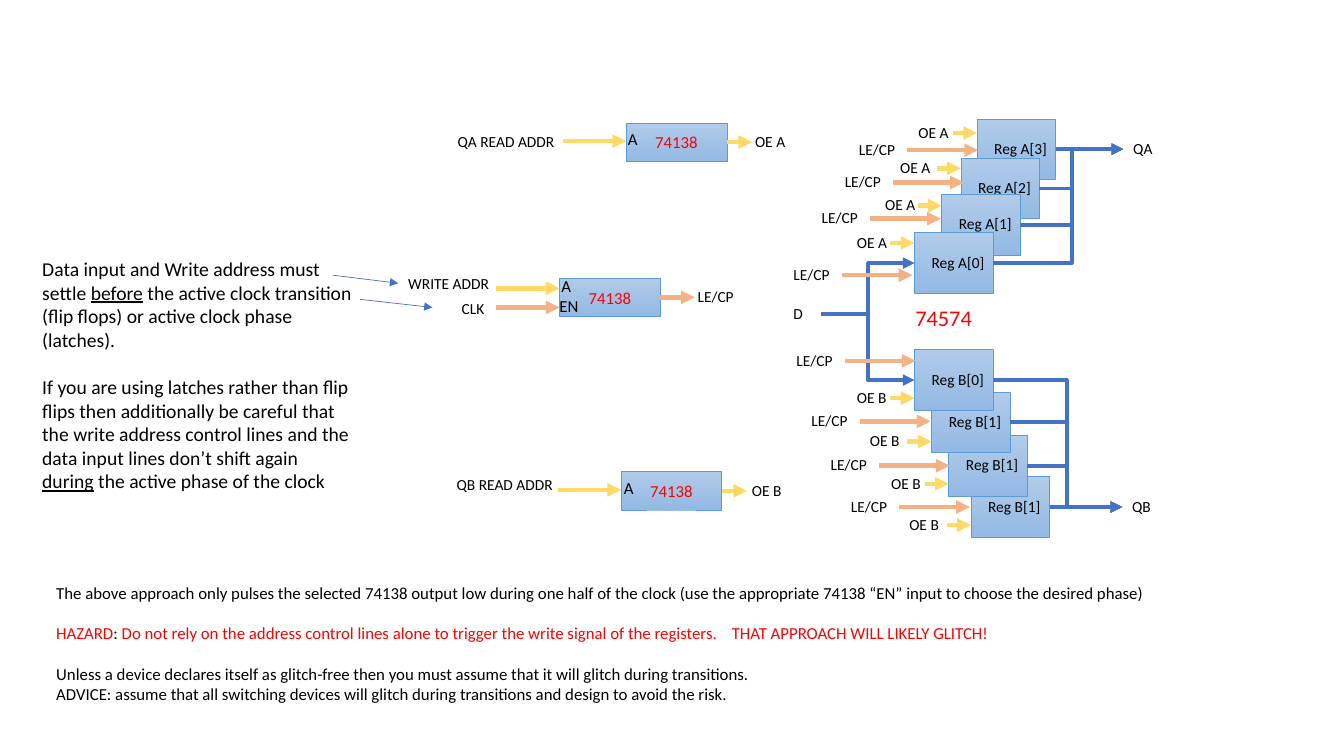
import dataclasses

import pptx
import pptx.dml.color
import pptx.enum.dml
import pptx.enum.shapes
import pptx.enum.text
import pptx.oxml
import pptx.oxml.ns
import pptx.util
from pptx.util import Inches

RGB = pptx.dml.color.RGBColor.from_string
Pt = pptx.util.Pt
ANCHOR = pptx.enum.text.MSO_ANCHOR
ALIGN = pptx.enum.text.PP_ALIGN
CONNECTOR = pptx.enum.shapes.MSO_CONNECTOR


@dataclasses.dataclass(frozen=True)
class Theme:
    font: str = "Calibri"
    ink: str = "000000"
    alert: str = "FF0000"
    address: str = "FFD966"
    clock: str = "F4B183"
    data: str = "4472C4"
    chip_top: str = "B1CBE9"
    chip_bottom: str = "93B9E4"
    chip_edge: str = "5B9BD5"
    label: int = 11
    pin: int = 12
    advice: int = 12
    timing: int = 14
    family: int = 16
    hairline: float = 0.5
    bus: float = 2.75
    signal: float = 3.25


@dataclasses.dataclass(frozen=True)
class Box:
    left: float
    top: float
    width: float
    height: float

    def lengths(self):
        return [Inches(v) for v in (self.left, self.top, self.width, self.height)]


THEME = Theme()
LABEL_FRAME = {"word_wrap": True, "vertical_anchor": ANCHOR.TOP}
CHIP_FRAME = {"word_wrap": True, "vertical_anchor": ANCHOR.MIDDLE}
REGISTER_FRAME = CHIP_FRAME | {"margin_left": Inches(0.17), "margin_right": Inches(0.04)}
LABEL_HEIGHT = 0.29
LABEL_RISE = 0.15  # from an arrow up to the top of its label


def apply(target, values):
    for name, value in values.items():
        setattr(target, name, value)


def add_run(paragraph, text, size, color=THEME.ink, underline=None):
    run = paragraph.add_run()
    run.text = text
    apply(run.font, {"name": THEME.font, "size": Pt(size), "underline": underline})
    run.font.color.rgb = RGB(color)


def label(slide, text, left, top, width=0.58, size=THEME.label, color=THEME.ink):
    frame = slide.shapes.add_textbox(*Box(left, top, width, LABEL_HEIGHT).lengths()).text_frame
    apply(frame, LABEL_FRAME)
    add_run(frame.paragraphs[0], text, size, color)


def wire(slide, start, end, color, weight, bend=None):
    """Arrow from start to end, turning at x = bend if one is given."""
    kind = CONNECTOR.STRAIGHT if bend is None else CONNECTOR.ELBOW
    line = slide.shapes.add_connector(kind, *[Inches(v) for v in (*start, *end)])
    line.line.color.rgb = RGB(color)
    line.line.width = Pt(weight)
    properties = line._element.spPr
    if bend is not None:
        guides = properties.find(pptx.oxml.ns.qn("a:prstGeom")).get_or_add_avLst()
        share = round((bend - start[0]) / (end[0] - start[0]) * 100000)
        guide = guides.makeelement(pptx.oxml.ns.qn("a:gd"), {"name": "adj1", "fmla": f"val {share}"})
        guides.append(guide)
    outline = line.line._get_or_add_ln()
    outline.append(outline.makeelement(pptx.oxml.ns.qn("a:tailEnd"), {"type": "triangle"}))
    properties.append(properties.makeelement(pptx.oxml.ns.qn("a:effectLst"), {}))


def chip(slide, box, text, frame_format, text_format, size, color):
    body = slide.shapes.add_shape(pptx.enum.shapes.MSO_SHAPE.RECTANGLE, *box.lengths())
    body.shadow.inherit = False
    body.fill.gradient()
    body.fill.gradient_angle = 270
    for stop, shade in zip(body.fill.gradient_stops, (THEME.chip_top, THEME.chip_bottom)):
        stop.color.rgb = RGB(shade)
    body.line.color.rgb = RGB(THEME.chip_edge)
    body.line.width = Pt(THEME.hairline)
    apply(body.text_frame, frame_format)
    paragraph = body.text_frame.paragraphs[0]
    apply(paragraph, text_format)
    add_run(paragraph, text, size, color)


def register_bank(slide, box, registers, output, outlet, bend):
    """Stack of registers, back to front, all wired to one outlet."""
    for name, dx, dy, *_ in registers:
        body = Box(box.left + dx, box.top + dy, 0.78, 0.6)
        chip(slide, body, name, REGISTER_FRAME,
             {"alignment": ALIGN.JUSTIFY, "line_spacing": 0.9}, THEME.label, THEME.ink)
        wire(slide, (body.left + body.width, body.top + 0.3), outlet, THEME.data, THEME.bus, bend)
    label(slide, output, outlet[0], outlet[1] - LABEL_RISE, 0.42)


def bank_controls(slide, box, registers, enable):
    """Enable and latch arrows with labels, left of each register."""
    for _, dx, dy, enable_dy, enable_label, latch_dx, latch_dy in registers:
        left, top = box.left + dx, box.top + dy
        enable_y, latch_y = top + enable_dy, top + latch_dy
        wire(slide, (left - 0.24, enable_y), (left, enable_y), THEME.address, THEME.signal)
        label(slide, enable, left + enable_label, enable_y - LABEL_RISE)
        latch_x = left + latch_dx
        wire(slide, (latch_x, latch_y), (latch_x + 0.7, latch_y), THEME.clock, THEME.signal)
        label(slide, "LE/CP", latch_x - 0.58, latch_y - LABEL_RISE)


def data_input(slide, box, bank_tops):
    """D feeding the first register of each bank."""
    middle = box.top + LABEL_RISE
    label(slide, "D", box.left, box.top, 0.4)
    for top in bank_tops:
        wire(slide, (box.left + 0.37, middle), (box.left + box.width, top + 0.3),
             THEME.data, THEME.bus, box.left + 0.84)


def decoder(slide, box, pins, output):
    """Decoder chip with its input pins and one output."""
    chip(slide, box, "74138", CHIP_FRAME, {"alignment": ALIGN.CENTER}, THEME.pin, THEME.alert)
    for pin, pin_dx, pin_dy, signal, signal_dx, signal_dy, arrow_dy, color in pins:
        y = box.top + arrow_dy
        wire(slide, (box.left - 0.63, y), (box.left, y), color, THEME.signal)
        label(slide, signal, box.left + signal_dx, box.top + signal_dy, 1.29)
        label(slide, pin, box.left + pin_dx, box.top + pin_dy, 0.4, THEME.pin)
    name, name_dx, reach, color = output
    right, middle = box.left + box.width, box.top + 0.19
    wire(slide, (right, middle), (right + reach, middle), color, THEME.signal)
    label(slide, name, box.left + name_dx, middle - LABEL_RISE, 0.71)


def prose(slide, box, size, paragraphs, tab=None):
    """Paragraphs of (gap before, runs), each run a tuple for add_run."""
    frame = slide.shapes.add_textbox(*box.lengths()).text_frame
    apply(frame, LABEL_FRAME)
    for index, (gap, runs) in enumerate(paragraphs):
        paragraph = frame.add_paragraph() if index else frame.paragraphs[0]
        paragraph.space_before = Pt(gap)
        for text, *look in runs:
            add_run(paragraph, text, size, *look)
            if "\t" in text:
                settings = paragraph._p.get_or_add_pPr()
                stops = settings.makeelement(pptx.oxml.ns.qn("a:tabLst"), {})
                stops.append(stops.makeelement(pptx.oxml.ns.qn("a:tab"),
                                               {"pos": str(Inches(tab)), "algn": "l"}))
                settings.append(stops)


# name, dx, dy, enable arrow dy, enable label dx, latch arrow dx, latch arrow dy
REGISTERS_A = [
    ("Reg A[3]", 0.62, 0, 0.14, -0.68, -0.69, 0.31),
    ("Reg A[2]", 0.46, 0.39, 0.1, -0.7, -0.67, 0.24),
    ("Reg A[1]", 0.27, 0.75, 0.11, -0.66, -0.71, 0.24),
    ("Reg A[0]", 0, 1.13, 0.1, -0.67, -0.72, 0.42),
]
REGISTERS_B = [
    ("Reg B[1]", 0.56, 1.26, 0.48, -0.71, -0.71, 0.3),
    ("Reg B[1]", 0.34, 0.85, 0.48, -0.67, -0.69, 0.3),
    ("Reg B[1]", 0.17, 0.42, 0.49, -0.71, -0.71, 0.29),
    ("Reg B[0]", 0, 0, 0.48, -0.67, -0.69, 0.11),
]
# pin, its dx and dy, signal, its dx and dy, arrow dy, colour
DECODERS = [
    (Box(6.21, 1.22, 1, 0.38),
     [("A", -0.08, 0.01, "QA READ ADDR", -1.77, 0.04, 0.18, THEME.address)],
     ("OE A", 1.18, 0.25, THEME.address)),
    (Box(6.16, 4.68, 1, 0.38),
     [("A", -0.07, 0.01, "QB READ ADDR", -1.73, -0.02, 0.18, THEME.address)],
     ("OE B", 1.2, 0.25, THEME.address)),
    (Box(5.55, 2.76, 1, 0.38),
     [("A", -0.08, -0.07, "WRITE ADDR", -1.6, -0.09, 0.1, THEME.address),
      ("EN", -0.1, 0.12, "CLK", -1.07, 0.16, 0.29, THEME.clock)],
     ("LE/CP", 1.27, 0.34, THEME.clock)),
]
TIMING = [
    (0, [("Data input and Write address must settle ",), ("before", THEME.ink, True),
         (" the active clock transition (flip flops) or active clock phase (latches).",)]),
    (17, [("If you are using latches rather than flip flips then additionally be careful that the "
           "write address control lines and the data input lines don’t shift again ",),
          ("during", THEME.ink, True), (" the active phase of the clock",)]),
]
ADVICE = [
    (0, [("The above approach only pulses the selected 74138 output low during one half of the clock "
          "(use the appropriate 74138 “EN” input to choose the desired phase)",)]),
    (14.6, [("HAZARD", THEME.alert), (": ",),
            ("Do not rely on the address control lines alone to trigger the write signal of the "
             "registers.\tTHAT APPROACH WILL LIKELY GLITCH!", THEME.alert)]),
    (14.6, [("Unless a device declares itself as glitch-free then you must assume that it will "
             "glitch during transitions.",)]),
    (0, [("ADVICE: assume that all switching devices will glitch during transitions and design to "
          "avoid the risk.",)]),
]


def main():
    deck = pptx.Presentation()
    apply(deck, {"slide_width": Inches(13.33), "slide_height": Inches(7.5)})
    slide = deck.slides.add_slide(deck.slide_layouts[6])

    # Register banks and their data input
    bank_a, bank_b = Box(9.07, 1.18, 1.4, 1.73), Box(9.07, 3.47, 1.34, 1.86)
    register_bank(slide, bank_a, REGISTERS_A, "QA", (11.14, 1.48), 10.63)
    register_bank(slide, bank_b, REGISTERS_B, "QB", (11.13, 5.03), 10.58)
    data_input(slide, Box(7.77, 2.97, 1.3, LABEL_HEIGHT), (bank_a.top + 1.13, bank_b.top))
    bank_controls(slide, bank_a, REGISTERS_A, "OE A")
    bank_controls(slide, bank_b, REGISTERS_B, "OE B")
    label(slide, "74574", 8.98, 2.97, 1, THEME.family, THEME.alert)

    # Address decoders
    for box, pins, output in DECODERS:
        decoder(slide, box, pins, output)

    # Timing note with its pointers, and the advice below
    prose(slide, Box(0.32, 2.5, 3.29, 2.46), THEME.timing, TIMING)
    for start, end in (((3.3, 2.73), (3.95, 2.81)), ((3.57, 2.97), (4.29, 3.05))):
        wire(slide, start, end, THEME.data, THEME.hairline)
    prose(slide, Box(0.46, 5.73, 11.04, 1.51), THEME.advice, ADVICE, tab=6.7)

    deck.save("out.pptx")


if __name__ == "__main__":
    main()
